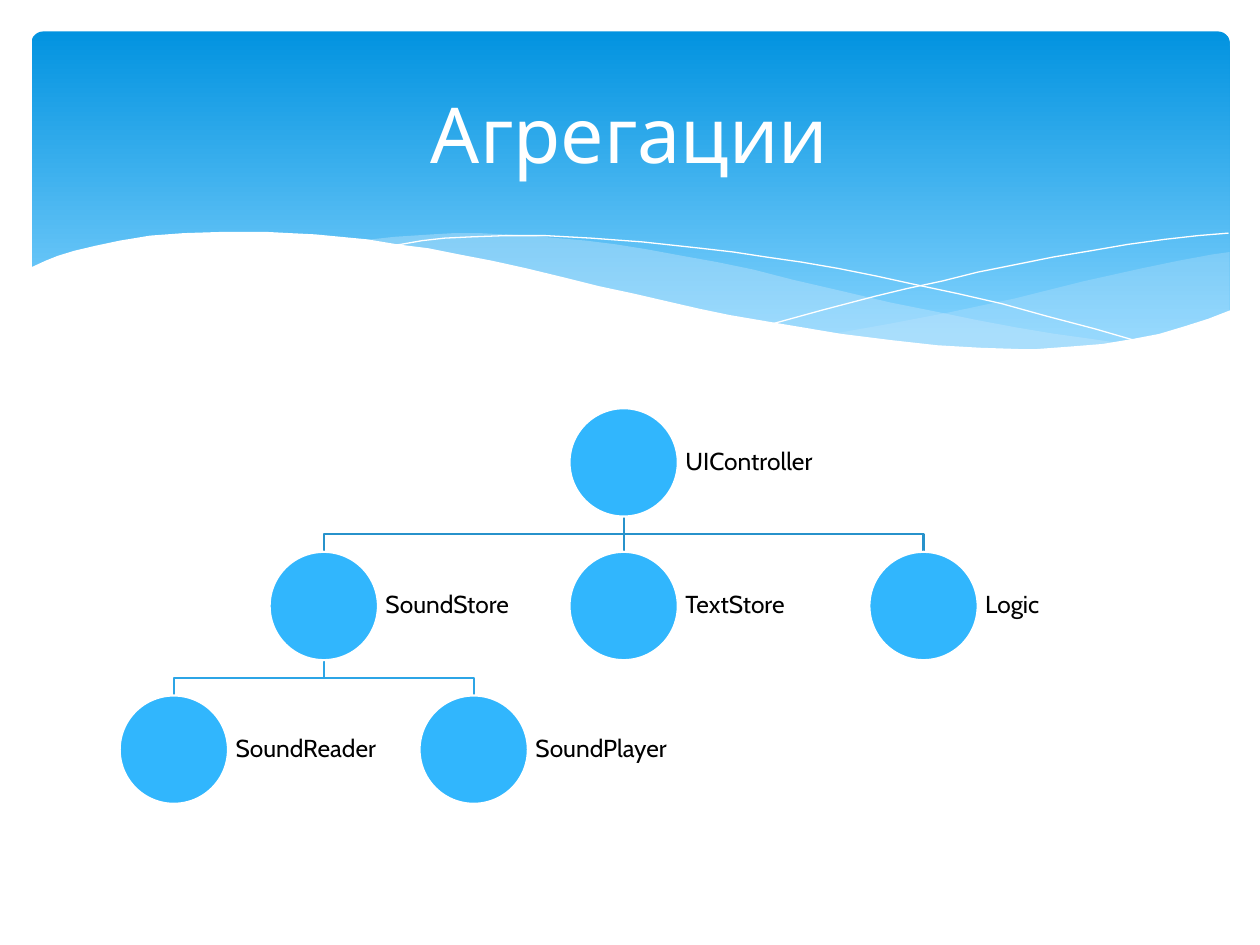
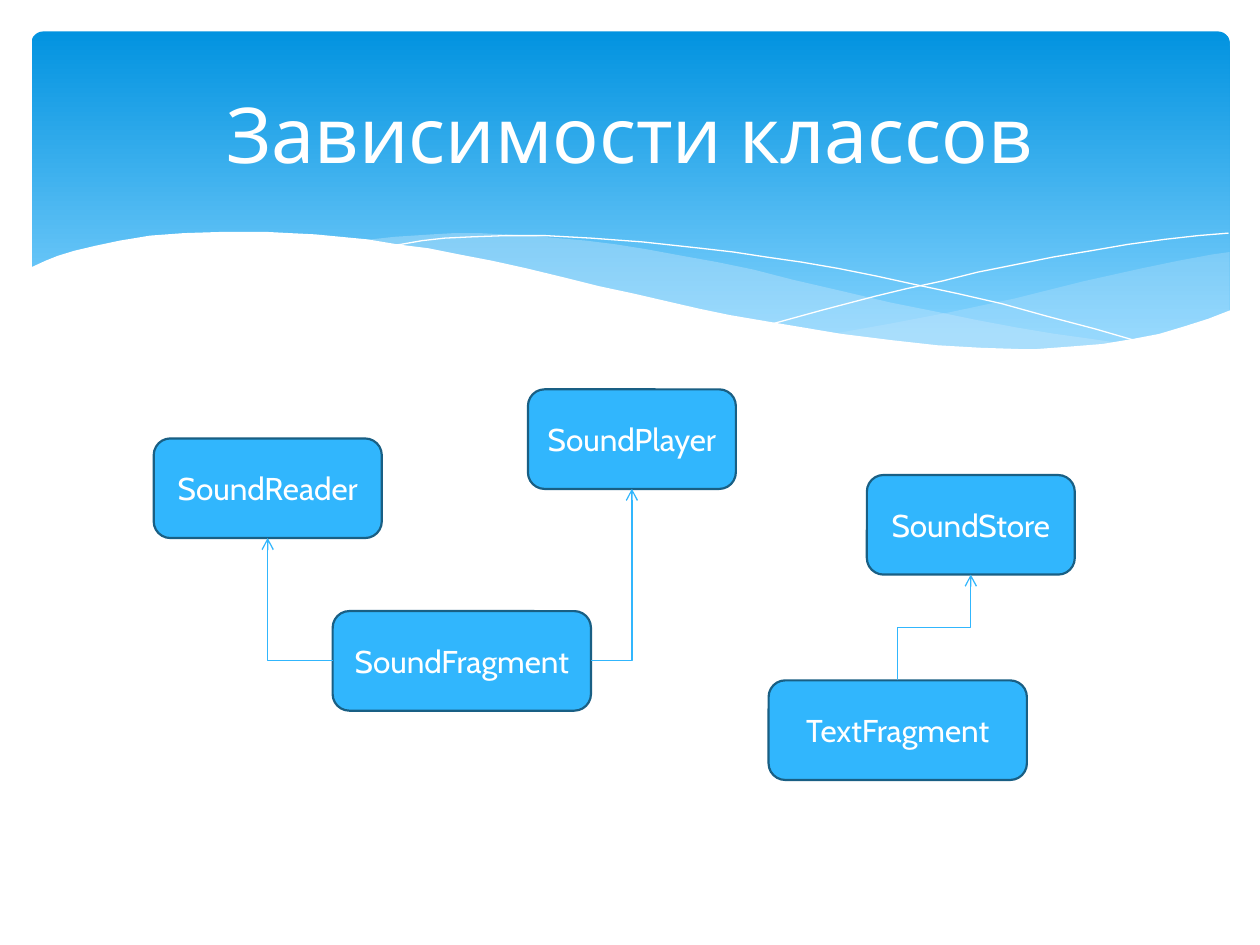
import pptx
import pptx.dml.color
import pptx.enum.dml
import pptx.enum.shapes
import pptx.enum.text
import pptx.oxml.ns
import pptx.util
from lxml import etree

Inches = pptx.util.Inches
Pt = pptx.util.Pt
RGBColor = pptx.dml.color.RGBColor
SHAPE = pptx.enum.shapes.MSO_SHAPE
CONNECTOR = pptx.enum.shapes.MSO_CONNECTOR
ALIGN = pptx.enum.text.PP_ALIGN
qn = pptx.oxml.ns.qn

WHITE = RGBColor(0xFF, 0xFF, 0xFF)
BLACK = RGBColor(0x00, 0x00, 0x00)
ACCENT = RGBColor(0x31, 0xB6, 0xFD)
BOX_LINE = RGBColor(0x19, 0x5F, 0x84)
BAND_TOP = RGBColor(0x02, 0x93, 0xE0)
BAND_BOTTOM = RGBColor(0x83, 0xD3, 0xFE)
WAVE = RGBColor(0xC6, 0xE7, 0xFC)
BRANCH_COLORS = [RGBColor(0x27, 0x92, 0xCB), RGBColor(0x2C, 0xA5, 0xE6)]
FONT = "Cabin"

# Outlines of the waves in the header, in inches
RIGHT_WAVE = [
    (9.76, 2), (9.62, 2.02), (9.35, 2.07), (9.06, 2.13), (8.61, 2.23), (8.05, 2.37),
    (7.53, 2.48), (7.06, 2.57), (6.61, 2.65), (6.91, 2.69), (7.19, 2.72), (7.45, 2.75),
    (7.69, 2.77), (8.03, 2.78), (8.44, 2.77), (8.72, 2.74), (8.97, 2.7), (9.21, 2.65),
    (9.42, 2.59), (9.63, 2.52), (9.76, 2.47)]
LONG_WAVE = [
    (8.93, 2.73), (8.66, 2.69), (8.37, 2.65), (8.07, 2.6), (7.75, 2.54), (7.41, 2.47),
    (7.06, 2.4), (6.68, 2.31), (6.29, 2.22), (5.98, 2.14), (5.69, 2.08), (5.41, 2.03),
    (5.14, 1.98), (4.89, 1.94), (4.65, 1.91), (4.42, 1.89), (4.2, 1.87), (3.99, 1.86),
    (3.8, 1.85), (3.61, 1.85), (3.44, 1.86), (3.13, 1.88), (2.86, 1.91), (3.23, 1.96),
    (3.62, 2.03), (4.04, 2.11), (4.49, 2.22), (4.91, 2.32), (5.3, 2.4), (5.66, 2.48),
    (6.01, 2.55), (6.34, 2.61), (6.65, 2.66), (6.95, 2.7), (7.22, 2.74), (7.48, 2.76),
    (7.73, 2.77), (7.96, 2.78), (8.38, 2.78), (8.67, 2.76)]
FALLING_LINE = [
    (3.09, 1.95), (3.18, 1.94), (3.35, 1.91), (3.53, 1.89), (3.74, 1.88), (4.01, 1.87),
    (4.33, 1.87), (4.69, 1.89), (5.1, 1.92), (5.56, 1.97), (5.82, 2), (6.08, 2.04),
    (6.36, 2.08), (6.65, 2.13), (6.95, 2.19), (7.27, 2.26), (7.6, 2.33), (7.95, 2.41),
    (8.31, 2.51), (8.69, 2.61), (9.07, 2.72)]
RISING_LINE = [
    (6.13, 2.57), (6.53, 2.46), (6.95, 2.35), (7.2, 2.29), (7.48, 2.23), (7.76, 2.16),
    (8.06, 2.1), (8.36, 2.04), (8.66, 1.99), (8.95, 1.94), (9.24, 1.9), (9.51, 1.87),
    (9.75, 1.85)]
WHITE_WAVE = [
    (9.77, 2.46), (9.59, 2.53), (9.4, 2.59), (9.2, 2.65), (8.99, 2.69), (8.75, 2.73),
    (8.5, 2.75), (8.23, 2.77), (8.09, 2.77), (7.78, 2.76), (7.44, 2.74), (7.08, 2.7),
    (6.68, 2.65), (6.26, 2.58), (5.79, 2.5), (5.55, 2.45), (5.29, 2.39), (5.03, 2.33),
    (4.75, 2.27), (4.47, 2.2), (4.18, 2.13), (3.91, 2.07), (3.65, 2.02), (3.4, 1.97),
    (3.16, 1.94), (2.92, 1.9), (2.71, 1.88), (2.5, 1.86), (2.3, 1.85), (2.11, 1.84),
    (1.77, 1.84), (1.46, 1.85), (1.19, 1.87), (0.95, 1.91), (0.76, 1.95), (0.59, 1.99),
    (0.46, 2.03), (0.36, 2.07), (0.23, 2.13), (0.23, 3.29), (9.77, 3.29)]

# Tree of aggregations: name, column, level, parent
TREE = [
    ("UIController", 3, 0, None),
    ("SoundStore", 1, 1, "UIController"),
    ("TextStore", 3, 1, "UIController"),
    ("Logic", 5, 1, "UIController"),
    ("SoundReader", 0, 2, "SoundStore"),
    ("SoundPlayer", 2, 2, "SoundStore")]
CIRCLE = 0.86

# Class boxes: left, top, width
BOXES = {
    "SoundReader": (1.22, 3.48, 1.81),
    "SoundPlayer": (4.19, 3.09, 1.65),
    "SoundFragment": (2.64, 4.85, 2.05),
    "TextFragment": (6.1, 5.4, 2.05),
    "SoundStore": (6.88, 3.77, 1.65)}
BOX_HEIGHT = 0.79
TOP, LEFT, BOTTOM, RIGHT = range(4)


class Deck:
    """Holds the shared style and the current slide."""

    def __init__(self):
        self.presentation = pptx.Presentation()
        self.presentation.slide_width = Inches(10)
        self.presentation.slide_height = Inches(7.5)
        self.slide = None

    def add_slide(self, title):
        self.slide = self.presentation.slides.add_slide(self.presentation.slide_layouts[6])
        self.header()
        self.text(title, 0.5, 0.37, 9, 1.37, 44, WHITE, ALIGN.CENTER)

    def header(self):
        band = self.shape(SHAPE.ROUNDED_RECTANGLE, 0.25, 0.25, 9.51, 2.7)
        band.adjustments[0] = 0.034
        band.fill.gradient()
        band.fill.gradient_angle = 270
        for stop, position, color in zip(band.fill.gradient_stops, (0, 0.9), (BAND_TOP, BAND_BOTTOM)):
            stop.position = position
            stop.color.rgb = color
        self.area(RIGHT_WAVE, WAVE, 29)
        self.area(LONG_WAVE, WAVE, 40)
        self.polyline(FALLING_LINE, WHITE, 0)
        self.polyline(RISING_LINE, WHITE, 0)
        self.area(WHITE_WAVE, WHITE)

    def shape(self, kind, left, top, width, height, fill=None, line=None):
        shape = self.slide.shapes.add_shape(
            kind, Inches(left), Inches(top), Inches(width), Inches(height))
        shape.shadow.inherit = False
        if fill is not None:
            shape.fill.solid()
            shape.fill.fore_color.rgb = fill
        if line is None:
            shape.line.fill.background()
        else:
            self.stroke(shape.line, line, 1.25)
        return shape

    def stroke(self, line, color, width):
        line.color.rgb = color
        line.width = Pt(width)

    def outline(self, points, close):
        vertices = [(Inches(x), Inches(y)) for x, y in points]
        builder = self.slide.shapes.build_freeform(*vertices[0])
        builder.add_line_segments(vertices[1:], close=close)
        shape = builder.convert_to_shape()
        shape.shadow.inherit = False
        return shape

    def area(self, points, color, opacity=100):
        shape = self.outline(points, True)
        shape.fill.solid()
        shape.fill.fore_color.rgb = color
        shape.line.fill.background()
        if opacity < 100:
            color_element = shape._element.spPr.find(qn("a:solidFill"))[0]
            etree.SubElement(color_element, qn("a:alpha")).set("val", str(opacity * 1000))

    def polyline(self, points, color, width):
        shape = self.outline(points, False)
        shape.fill.background()
        self.stroke(shape.line, color, width)

    def connector(self, kind, begin, end, color, width):
        connector = self.slide.shapes.add_connector(
            kind, *(Inches(value) for value in begin + end))
        self.stroke(connector.line, color, width)
        etree.SubElement(connector._element.spPr, qn("a:effectLst"))
        return connector

    def format_text(self, frame, size, color, align):
        frame.word_wrap = True
        frame.vertical_anchor = pptx.enum.text.MSO_ANCHOR.MIDDLE
        paragraph = frame.paragraphs[0]
        paragraph.alignment = align
        font = paragraph.runs[0].font
        font.name = FONT
        font.size = Pt(size)
        font.color.rgb = color

    def text(self, words, left, top, width, height, size, color, align=ALIGN.LEFT):
        frame = self.slide.shapes.add_textbox(
            Inches(left), Inches(top), Inches(width), Inches(height)).text_frame
        frame.text = words
        self.format_text(frame, size, color, align)
        return frame

    def branch(self, begin, end, color):
        if begin[0] == end[0]:
            self.connector(CONNECTOR.STRAIGHT, begin, end, color, 1.25)
            return
        middle = (begin[1] + end[1]) / 2
        self.polyline([begin, (begin[0], middle), (end[0], middle), end], color, 1.25)

    def node(self, name, center, top):
        left = center - CIRCLE / 2
        self.shape(SHAPE.OVAL, left, top, CIRCLE, CIRCLE, ACCENT, WHITE)
        frame = self.text(name, left + CIRCLE, top, 1.3, CIRCLE, 14, BLACK)
        frame.margin_left = frame.margin_right = Inches(0.06)
        frame.margin_top = frame.margin_bottom = Inches(0.06)
        frame.paragraphs[0].line_spacing = 0.9

    def class_box(self, name, left, top, width):
        box = self.shape(SHAPE.ROUNDED_RECTANGLE, left, top, width, BOX_HEIGHT, ACCENT, BOX_LINE)
        box.text_frame.text = name
        self.format_text(box.text_frame, 18, WHITE, ALIGN.CENTER)
        return box

    def arrow(self, source, side, target):
        """Bent arrow from a side of the source to the bottom of the target."""
        arrow = self.connector(CONNECTOR.ELBOW, (0, 0), (1, 1), ACCENT, 0.75)
        arrow.begin_connect(source, side)
        arrow.end_connect(target, BOTTOM)
        properties = arrow._element.spPr
        if side == TOP:
            # Leave upwards: turn the frame a quarter about its centre
            frame = properties.find(qn("a:xfrm"))
            frame.attrib.pop("flipV", None)
            frame.set("rot", "16200000")
            width, height = arrow.width, arrow.height
            arrow.left += (width - height) // 2
            arrow.top += (height - width) // 2
            arrow.width, arrow.height = height, width
        else:
            properties.find(qn("a:prstGeom")).set("prst", "bentConnector2")
        etree.SubElement(properties.find(qn("a:ln")), qn("a:tailEnd")).set("type", "arrow")


def build_aggregations(deck):
    deck.add_slide("Агрегации")
    places = {name: (1.38 + 1.19 * column, 3.24 + 1.14 * level)
              for name, column, level, _ in TREE}
    # Branches lie behind the circles
    for name, _, level, parent in TREE:
        if parent:
            center, top = places[parent]
            deck.branch((center, top + CIRCLE), places[name], BRANCH_COLORS[level - 1])
    for name, place in places.items():
        deck.node(name, *place)


def build_dependencies(deck):
    deck.add_slide("Зависимости классов")
    boxes = {name: deck.class_box(name, *place) for name, place in BOXES.items()}
    for source, side, target in [("SoundFragment", LEFT, "SoundReader"),
                                 ("SoundFragment", RIGHT, "SoundPlayer"),
                                 ("TextFragment", TOP, "SoundStore")]:
        deck.arrow(boxes[source], side, boxes[target])


def main():
    deck = Deck()
    build_aggregations(deck)
    build_dependencies(deck)
    deck.presentation.save("out.pptx")


if __name__ == "__main__":
    main()
